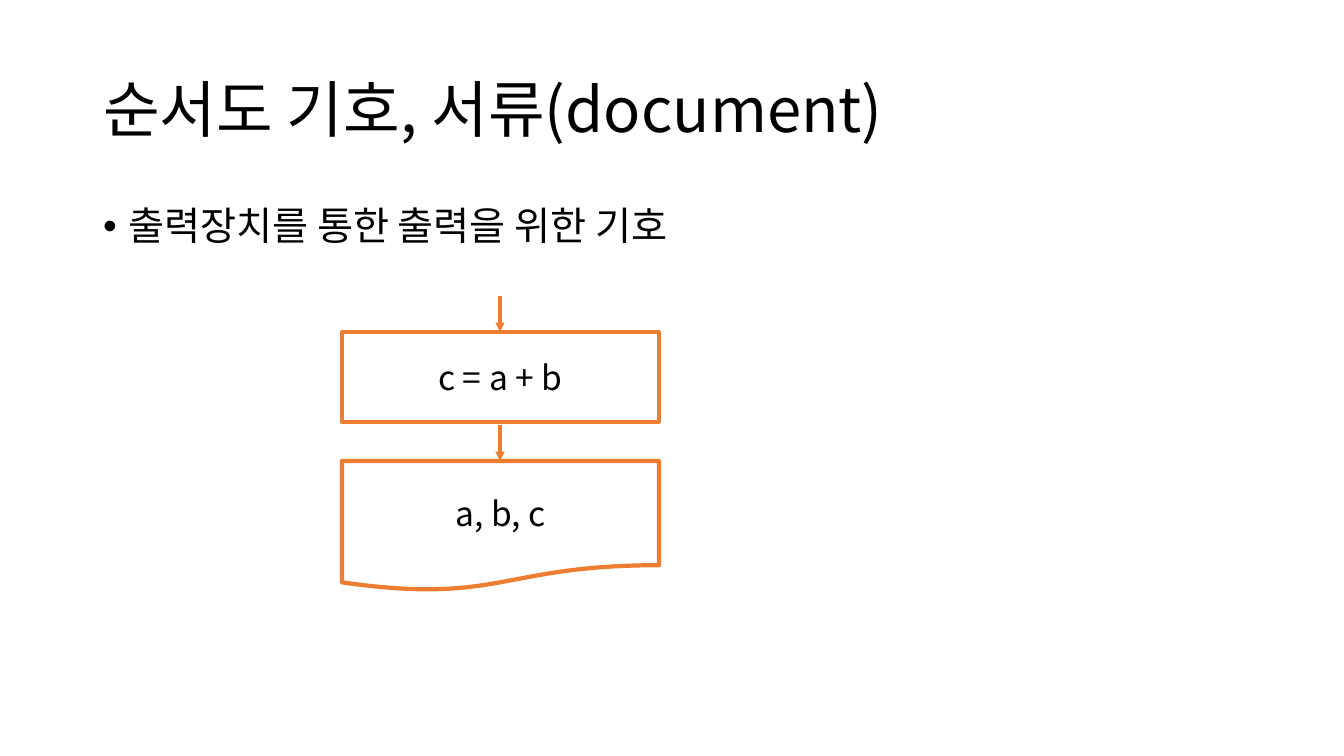
"""Build the slide on the document symbol of flowcharts."""
from dataclasses import dataclass

from lxml import etree
from pptx import Presentation
from pptx import util as u
from pptx.dml.color import RGBColor
from pptx.enum import shapes, text
from pptx.oxml import ns

BLACK = RGBColor(0x00, 0x00, 0x00)
WHITE = RGBColor(0xFF, 0xFF, 0xFF)
ORANGE = RGBColor(0xED, 0x7D, 0x31)
FONT = "Noto Sans CJK KR"
SLIDE_W, SLIDE_H = 1344, 756
SCALE = u.Inches(1) / 100.8
BOX_LEFT, BOX_W = 342, 317
ARROW_X, ARROW_H = 500, 36


@dataclass(frozen=True)
class Step:
    """A flowchart symbol entered by an arrow from above."""
    label: str
    kind: shapes.MSO_SHAPE
    top: int
    height: int


STEPS = (
    Step("c = a + b", shapes.MSO_SHAPE.RECTANGLE, 332, 90),
    Step("a, b, c", shapes.MSO_SHAPE.FLOWCHART_DOCUMENT, 461, 130),
)


def px(n: int) -> u.Emu:
    """Turn whole pixels into EMU."""
    return u.Emu(round(n * SCALE))


def place(sp, left: int, top: int, width: int, height: int) -> None:
    """Move and resize a shape, in pixels."""
    sp.left, sp.top, sp.width, sp.height = map(px, (left, top, width, height))


def write(sp, words: str, *, size: int, align=text.PP_ALIGN.LEFT,
          anchor=text.MSO_ANCHOR.MIDDLE, spacing: float = 1.0, before: int = 0):
    """Write one formatted paragraph into a shape and return it."""
    tf = sp.text_frame
    tf.word_wrap = True
    tf.auto_size = text.MSO_AUTO_SIZE.NONE
    tf.vertical_anchor = anchor
    p = tf.paragraphs[0]
    p.alignment, p.line_spacing, p.space_before = align, spacing, u.Pt(before)
    r = p.add_run()
    r.text = words
    r.font.size, r.font.name = u.Pt(size), FONT
    r.font.color.rgb = BLACK
    etree.SubElement(r._r.get_or_add_rPr(), ns.qn("a:ea"), typeface=FONT)
    return p


def add_bullet(p, indent: float) -> None:
    """Give a paragraph a round bullet with a hanging indent in inches."""
    pPr = p._p.get_or_add_pPr()
    pPr.set("marL", str(u.Inches(indent)))
    pPr.set("indent", str(-u.Inches(indent)))
    etree.SubElement(pPr, ns.qn("a:buFont"), typeface="Arial")
    etree.SubElement(pPr, ns.qn("a:buChar"), char="•")


def add_arrow(s, x: int, top: int, bottom: int) -> None:
    """Draw a downward arrow."""
    sp = s.shapes.add_connector(shapes.MSO_CONNECTOR.STRAIGHT,
                                px(x), px(top), px(x), px(bottom))
    sp.line.color.rgb, sp.line.width = ORANGE, u.Pt(2.25)
    spPr = sp._element.spPr
    etree.SubElement(spPr.find(ns.qn("a:ln")), ns.qn("a:tailEnd"), type="triangle")
    etree.SubElement(spPr, ns.qn("a:effectLst"))


def add_step(s, step: Step) -> None:
    """Draw a symbol with its incoming arrow."""
    add_arrow(s, ARROW_X, step.top - ARROW_H, step.top)
    sp = s.shapes.add_shape(step.kind, 0, 0, 0, 0)
    place(sp, BOX_LEFT, step.top, BOX_W, step.height)
    sp.shadow.inherit = False
    sp.fill.solid()
    sp.fill.fore_color.rgb = WHITE
    sp.line.color.rgb, sp.line.width = ORANGE, u.Pt(3)
    write(sp, step.label, size=24, align=text.PP_ALIGN.CENTER)


prs = Presentation()
prs.slide_width, prs.slide_height = px(SLIDE_W), px(SLIDE_H)
s = prs.slides.add_slide(prs.slide_layouts[1])

title, body = s.placeholders
place(title, 93, 40, 1159, 146)
write(title, "순서도 기호, 서류(document)", size=44, spacing=0.9)
place(body, 93, 202, 1159, 480)
add_bullet(write(body, "출력장치를 통한 출력을 위한 기호", size=28, spacing=0.9,
                 before=10, anchor=text.MSO_ANCHOR.TOP), 0.25)

for step in STEPS:
    add_step(s, step)

prs.save("out.pptx")
